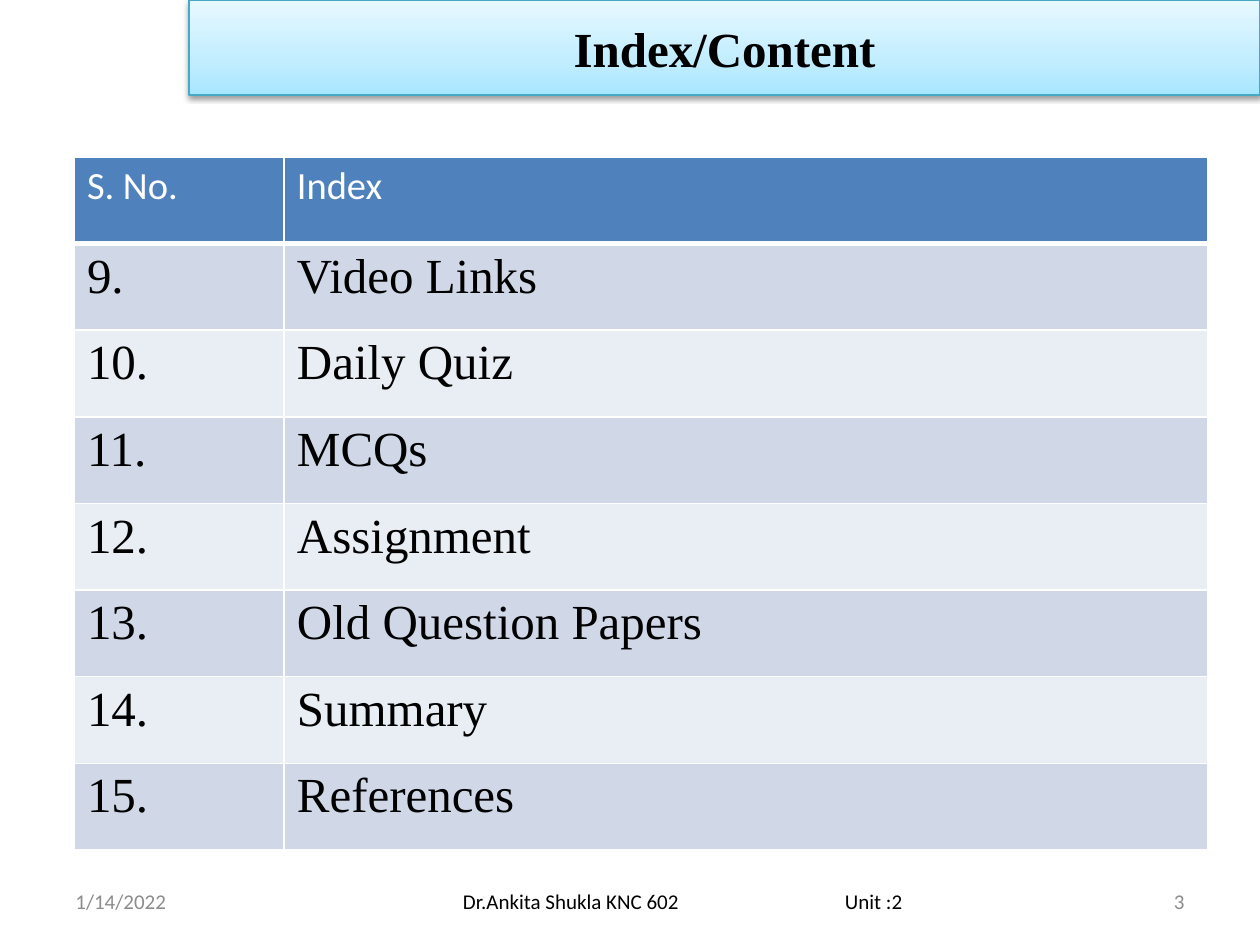
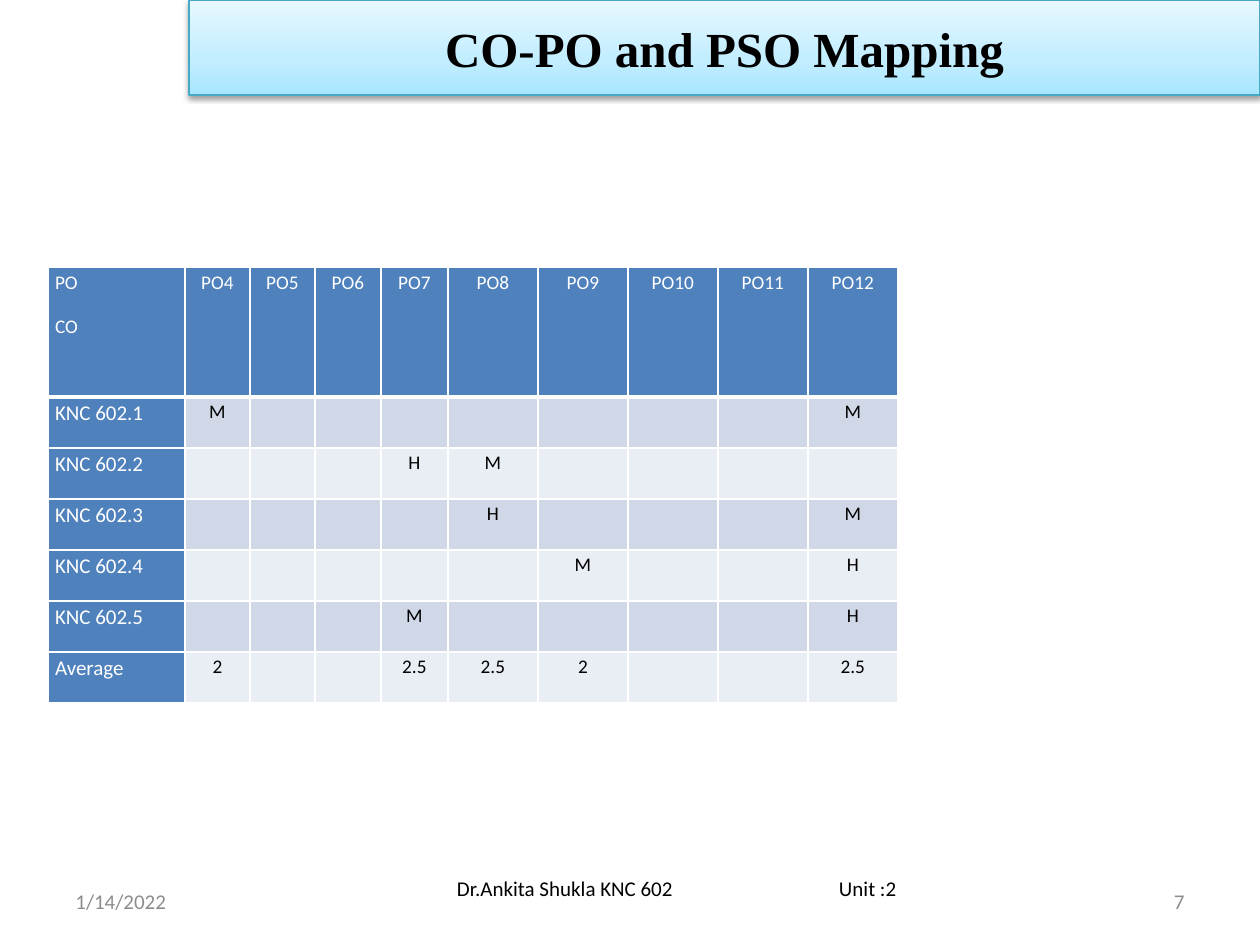
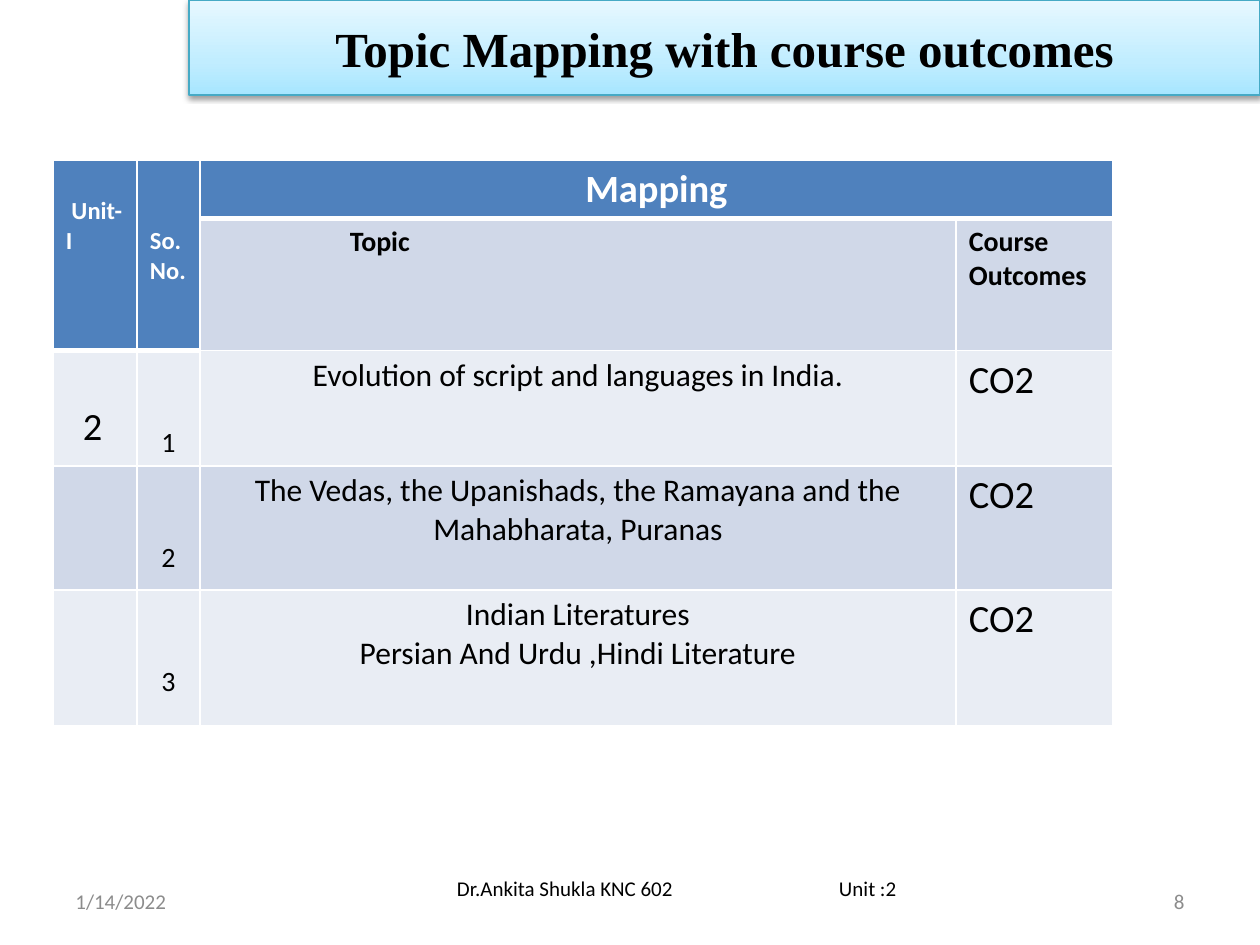
from dataclasses import dataclass

from lxml import etree
from pptx import Presentation
from pptx.dml.color import RGBColor
from pptx.enum.text import MSO_ANCHOR, MSO_AUTO_SIZE, PP_ALIGN
from pptx.oxml import parse_xml
from pptx.util import Pt

LEFT, MID, RIGHT = PP_ALIGN.LEFT, PP_ALIGN.CENTER, PP_ALIGN.RIGHT
CENTRE = MSO_ANCHOR.MIDDLE
FIXED = MSO_AUTO_SIZE.NONE
NS = "http://schemas.openxmlformats.org/drawingml/2006/main"
UNIT = 914400 / 126
TITLE_ONLY = 5
PAD = (13, 6, 13, 6)


@dataclass(frozen=True)
class Theme:
    sans: str = "Calibri"
    serif: str = "Times New Roman"
    ink: str = "000000"
    white: str = "FFFFFF"
    grey: str = "8C8C8C"
    head: str = "4F81BD"
    bands: tuple = ("E9EDF4", "D0D8E8")
    glow: tuple = ((0, "A7E6FF"), (35, "C1EDFF"), (100, "E7F8FF"))
    rim: str = "46AAC5"
    title: int = 28
    large: int = 22
    mid: int = 18
    body: int = 16
    label: int = 14
    small: int = 12
    tiny: int = 11


T = Theme()


def px(n):
    return round(n * UNIT)


def rgb(code):
    return RGBColor.from_string(code)


def write(frame, text, size, color=T.ink, face=T.sans, bold=False, align=LEFT):
    frame.word_wrap = True
    frame.text = text
    for para in frame.paragraphs:
        para.alignment = align
        font = para.font
        font.name, font.size, font.bold = face, Pt(size), bold
        font.color.rgb = rgb(color)


def inset(item, pad):
    sides = (px(n) for n in pad)
    item.margin_left, item.margin_top, item.margin_right, item.margin_bottom = sides


def banner(slide, text):
    shape = slide.shapes.title
    shape.left, shape.top, shape.width, shape.height = map(px, (189, 0, 1071, 95))
    stops = "".join(
        f'<a:gs pos="{pos * 1000}"><a:srgbClr val="{code}"/></a:gs>'
        for pos, code in T.glow)
    props = shape.element.spPr
    props.append(parse_xml(
        f'<a:gradFill xmlns:a="{NS}" rotWithShape="1"><a:gsLst>{stops}</a:gsLst>'
        '<a:lin ang="16200000" scaled="0"/></a:gradFill>'))
    shape.line.color.rgb = rgb(T.rim)
    shape.line.width = Pt(0.75)
    props.append(parse_xml(
        f'<a:effectLst xmlns:a="{NS}"><a:outerShdw blurRad="40000" dist="20000" '
        'dir="5400000" rotWithShape="0"><a:srgbClr val="000000">'
        '<a:alpha val="38000"/></a:srgbClr></a:outerShdw></a:effectLst>'))
    frame = shape.text_frame
    write(frame, text, T.title, face=T.serif, bold=True, align=MID)
    frame.auto_size = FIXED
    frame.vertical_anchor = CENTRE


def note(slide, box, text, color=T.grey, align=LEFT):
    frame = slide.shapes.add_textbox(*map(px, box)).text_frame
    write(frame, text, T.small, color, align=align)
    frame.vertical_anchor = CENTRE
    return frame


def footer(slide, number, box):
    note(slide, (63, 876, 294, 50), "1/14/2022")
    frame = note(slide, box, "Dr.Ankita Shukla KNC 602\tUnit :2", T.ink)
    frame.margin_left = px((box[2] - 439) // 2)
    props = frame.paragraphs[0]._p.get_or_add_pPr()
    tabs = etree.Element(f"{{{NS}}}tabLst")
    etree.SubElement(tabs, f"{{{NS}}}tab", pos=str(px(382)), algn="l")
    props.insert(0, tabs)
    note(slide, (903, 876, 294, 50), str(number), align=RIGHT)


def paint(cell, fill, head):
    props = cell._tc.get_or_add_tcPr()
    for side in "LRTB":
        width = Pt(3 if head and side == "B" else 1)
        props.append(parse_xml(
            f'<a:ln{side} xmlns:a="{NS}" w="{width}"><a:solidFill>'
            f'<a:srgbClr val="{T.white}"/></a:solidFill></a:ln{side}>'))
    cell.fill.solid()
    cell.fill.fore_color.rgb = rgb(fill)


def grid(slide, box, cols, count, rows=(), side=0):
    table = slide.shapes.add_table(count, len(cols), *map(px, box)).table
    table.first_row = table.horz_banding = False
    for col, width in zip(table.columns, cols):
        col.width = px(width)
    for row, height in zip(table.rows, rows):
        row.height = px(height)
    for r in range(count):
        for c in range(len(cols)):
            head = r == 0 or c < side
            paint(table.cell(r, c), T.head if head else T.bands[r % 2], r == 0)
    return table


def put(cell, text, size, pad=PAD, **style):
    inset(cell, pad)
    write(cell.text_frame, text, size, **style)


def index(slide):
    names = ("Video Links", "Daily Quiz", "MCQs", "Assignment",
             "Old Question Papers", "Summary", "References")
    table = grid(slide, (74, 157, 1134, 693), (210, 924), len(names) + 1)
    for c, text in enumerate(("S. No.", "Index")):
        put(table.cell(0, c), text, T.large, color=T.white)
    for r, name in enumerate(names, 1):
        for c, text in enumerate((f"{r + 8}.", name)):
            put(table.cell(r, c), text, T.title, face=T.serif)


def outcomes(slide):
    rows = [
        ["PO\nCO"] + [f"PO{n}" for n in range(4, 13)],
        ["KNC 602.1", "M", "", "", "", "", "", "", "", "M"],
        ["KNC 602.2", "", "", "", "H", "M", "", "", "", ""],
        ["KNC 602.3", "", "", "", "", "H", "", "", "", "M"],
        ["KNC 602.4", "", "", "", "", "", "M", "", "", "H"],
        ["KNC 602.5", "", "", "", "M", "", "", "", "", "H"],
        ["Average", "2", "", "", "2.5", "2.5", "2", "", "", "2.5"],
    ]
    table = grid(slide, (48, 267, 850, 436), [137, 65, 65, 66, 67] + [90] * 5,
                 len(rows), [130] + [51] * 6, side=1)
    for r, row in enumerate(rows):
        for c, text in enumerate(row):
            cell = table.cell(r, c)
            put(cell, text, T.small if r and not c else T.tiny, (7, 0, 7, 0),
                color=T.ink if r and c else T.white, align=MID if c else LEFT)
            for para in cell.text_frame.paragraphs:
                para.line_spacing = 1.15
                para.space_after = Pt(10)


def topics(slide):
    names = ("Evolution of script and languages in India.",
             "The Vedas, the Upanishads, the Ramayana and the Mahabharata, Puranas",
             "Indian Literatures\nPersian And Urdu ,Hindi Literature")
    table = grid(slide, (53, 160, 1060, 565), (84, 63, 756, 157), 5,
                 (58, 132, 115, 124, 136))
    cell = table.cell
    for c in (0, 1):
        cell(0, c).merge(cell(1, c))
    cell(0, 2).merge(cell(0, 3))
    head = {"color": T.white, "bold": True}
    put(cell(0, 0), " Unit-I", T.label, (13, 36, 13, 6), **head)
    put(cell(0, 1), "So. No.", T.label, (13, 66, 13, 6), **head)
    put(cell(0, 2), "Mapping", T.large, align=MID, **head)
    put(cell(1, 2), "Topic", T.body, (150, 6, 13, 6), bold=True)
    put(cell(1, 3), "Course Outcomes", T.body, bold=True)
    put(cell(2, 0), "2", T.large, (30, 53, 13, 6))
    for n, name in enumerate(names, 1):
        put(cell(n + 1, 1), str(n), T.body, (13, 75, 13, 6), align=MID)
        put(cell(n + 1, 2), name, T.mid, align=MID)
        put(cell(n + 1, 3), "CO2", T.large)


def main():
    deck = Presentation()
    deck.slide_width, deck.slide_height = px(1260), px(945)
    low, high = (242, 876, 882, 50), (231, 850, 892, 76)
    pages = (
        ("Index/Content", 3, low, index),
        ("CO-PO and PSO Mapping", 7, high, outcomes),
        ("Topic Mapping with course outcomes", 8, high, topics),
    )
    for title, number, box, draw in pages:
        slide = deck.slides.add_slide(deck.slide_layouts[TITLE_ONLY])
        banner(slide, title)
        draw(slide)
        footer(slide, number, box)
    deck.save("out.pptx")


if __name__ == "__main__":
    main()
